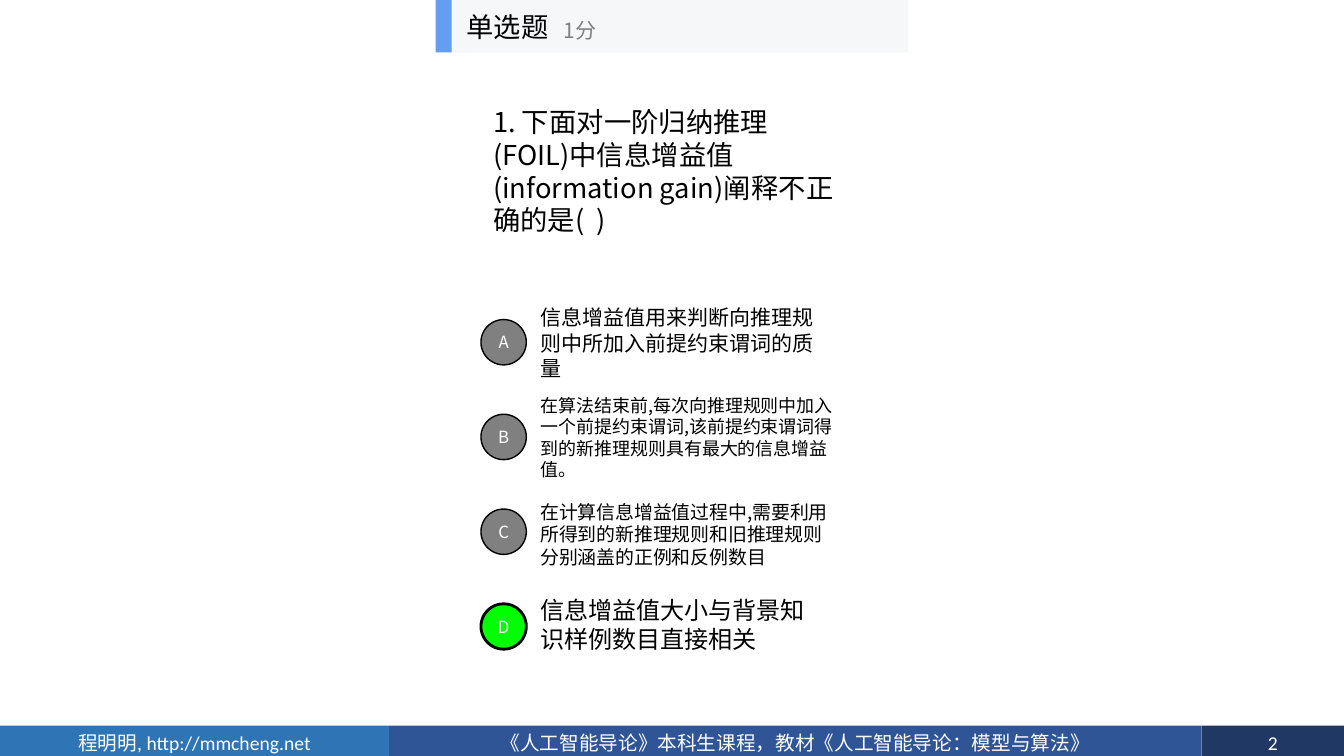
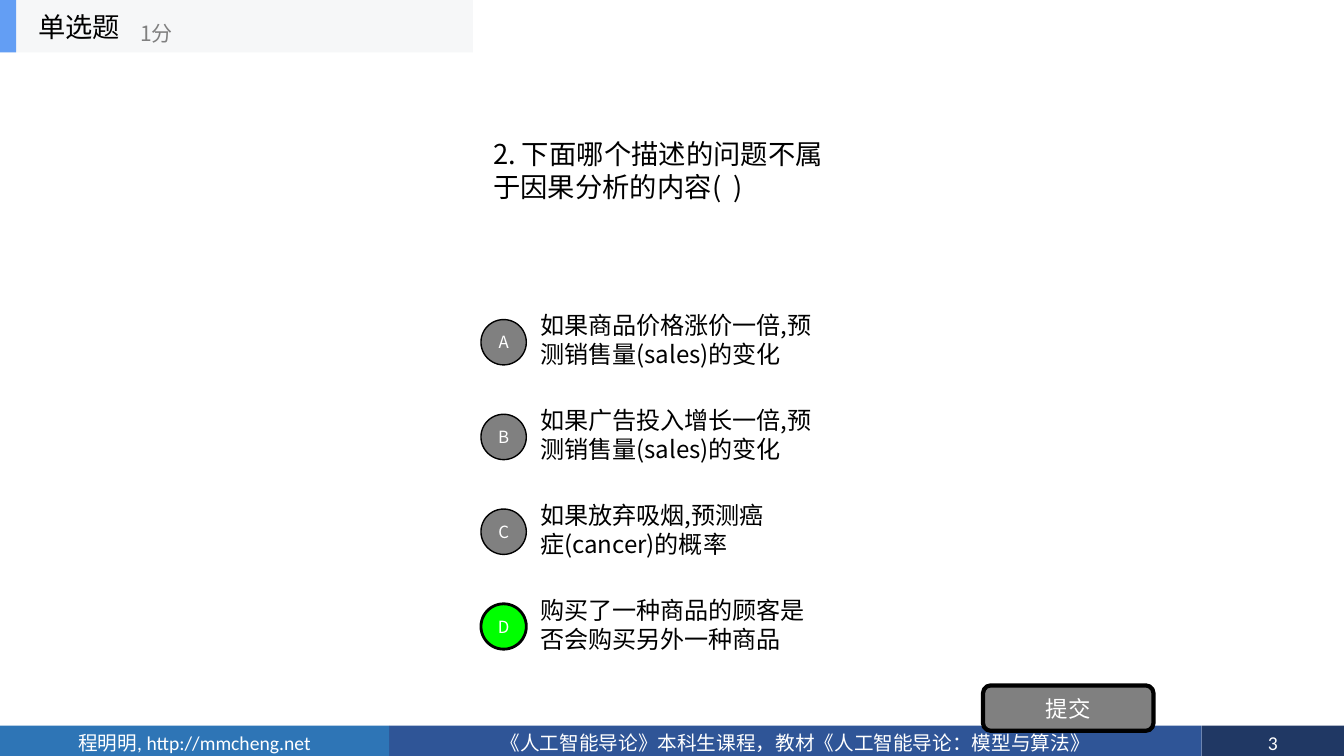
from lxml import etree
from pptx import Presentation
from pptx.dml.color import RGBColor
from pptx.enum.shapes import MSO_SHAPE as Shape
from pptx.enum.text import MSO_ANCHOR as Anchor, MSO_AUTO_SIZE as AutoSize, PP_ALIGN as Align
from pptx.oxml.ns import qn
from pptx.util import Inches, Pt

BLACK, WHITE, GRAY, GREEN = "000000", "FFFFFF", "808080", "00FF00"
CJK = "Noto Sans CJK SC"
FOOTER_TOP, FOOTER_HEIGHT = 7.2, 0.34
HEADER_HEIGHT = 0.52
CIRCLE_LEFT, CIRCLE_TOP, CIRCLE_SIZE, OPTION_STEP = 4.77, 3.17, 0.45, 0.94
OPTION_LEFT = 5.26


def add_box(shapes, kind, place, fill, outline=0):
    """Add a flat preset shape; outline is its black line width in points."""
    box = shapes.add_shape(kind, *[Inches(length) for length in place])
    box.shadow.inherit = False
    box.fill.solid()
    box.fill.fore_color.rgb = RGBColor.from_string(fill)
    if outline:
        box.line.color.rgb = RGBColor.from_string(BLACK)
        box.line.width = Pt(outline)
    else:
        box.line.fill.background()
    return box


def write(box, text, size, color, align=Align.LEFT, font=CJK, side_margin=0.1):
    """Fill a box with one vertically centred paragraph."""
    frame = box.text_frame
    frame.text = text
    frame.word_wrap = True
    frame.auto_size = AutoSize.NONE
    frame.vertical_anchor = Anchor.MIDDLE
    frame.margin_left = frame.margin_right = Inches(side_margin)
    paragraph = frame.paragraphs[0]
    paragraph.alignment = align
    for span in paragraph.runs:
        span.font.size = Pt(size)
        span.font.name = font
        span.font.color.rgb = RGBColor.from_string(color)
        east_asian = etree.SubElement(span.font._element, qn("a:ea"))
        east_asian.set("typeface", CJK)


deck = Presentation()
deck.slide_width, deck.slide_height = Inches(13.33), Inches(7.5)
layout = deck.slide_layouts[5]

# Questions: places are left, top, width, height; options are text, size, top, width, height
questions = [
    {
        "number": 2,
        "question": "1. 下面对一阶归纳推理(FOIL)中信息增益值(information gain)阐释不正确的是(  )",
        "place": (4.79, 0.99, 3.61, 1.41),
        "header_left": 4.32,
        "score_place": (5.49, 0.09, 1.88, 0.42),
        "title_offset": 0.21,
        "options": [
            ("信息增益值用来判断向推理规则中所加入前提约束谓词的质量", 15, 2.97, 3.07, 0.86),
            ("在算法结束前,每次向推理规则中加入一个前提约束谓词,该前提约束谓词得到的新推理规则具有最大的信息增益值。",
             12.8, 3.86, 3.19, 0.96),
            ("在计算信息增益值过程中,需要利用所得到的新推理规则和旧推理规则分别涵盖的正例和反例数目",
             13.5, 4.91, 3.15, 0.78),
            ("信息增益值大小与背景知识样例数目直接相关", 17.2, 5.85, 3.02, 0.68),
        ],
        "submit": False,
    },
    {
        "number": 3,
        "question": "2. 下面哪个描述的问题不属于因果分析的内容(  )",
        "place": (4.79, 1.31, 3.7, 0.76),
        "header_left": 0,
        "score_place": (1.29, 0.12, 1.88, 0.42),
        "title_offset": 0.28,
        "options": [
            ("如果商品价格涨价一倍,预测销售量(sales)的变化", 17.2, 3.03, 3.08, 0.68),
            ("如果广告投入增长一倍,预测销售量(sales)的变化", 17.2, 3.97, 3.08, 0.68),
            ("如果放弃吸烟,预测癌症(cancer)的概率", 17.2, 4.91, 2.6, 0.68),
            ("购买了一种商品的顾客是否会购买另外一种商品", 17.2, 5.85, 3.02, 0.68),
        ],
        "submit": True,
    },
]
pages = [deck.slides.add_slide(layout) for _ in questions]

# Footer bands, moved to the layout that all pages share
bands = [
    (3.86, 8.06, "2F5597", "《人工智能导论》本科生课程，教材《人工智能导论：模型与算法》"),
    (0, 3.86, "2E75B6", "程明明, http://mmcheng.net"),
]
for left, width, fill, text in bands:
    band = add_box(pages[0].shapes, Shape.RECTANGLE, (left, FOOTER_TOP, width, FOOTER_HEIGHT), fill)
    write(band, text, 14, WHITE, Align.CENTER, "Calibri")
    layout.shapes.element.append(band.element)

for page, item in zip(pages, questions):
    # Page number
    number = add_box(page.shapes, Shape.RECTANGLE, (11.92, FOOTER_TOP, 1.41, FOOTER_HEIGHT), "203864")
    write(number, str(item["number"]), 14, WHITE, Align.CENTER, "Calibri")

    # Question
    title = page.shapes.title
    title.left, title.top, title.width, title.height = [Inches(length) for length in item["place"]]
    write(title, item["question"], 19.5, BLACK)

    # Options, the last one being the right answer
    for index, (letter, option) in enumerate(zip("ABCD", item["options"])):
        text, size, top, width, height = option
        box = page.shapes.add_textbox(Inches(OPTION_LEFT), Inches(top), Inches(width), Inches(height))
        write(box, text, size, BLACK)
        right = letter == "D"
        place = (CIRCLE_LEFT, CIRCLE_TOP + index * OPTION_STEP, CIRCLE_SIZE, CIRCLE_SIZE)
        circle = add_box(page.shapes, Shape.OVAL, place, GREEN if right else GRAY, 2 if right else 1)
        write(circle, letter, 12, WHITE, Align.CENTER, side_margin=0)

    # Submit button
    if item["submit"]:
        button = add_box(page.shapes, Shape.ROUNDED_RECTANGLE, (9.75, 6.8, 1.69, 0.45), GRAY, 3)
        write(button, "提交", 16, WHITE, Align.CENTER)

    # Header with question type and score
    header = page.shapes.add_group_shape().shapes
    left = item["header_left"]
    add_box(header, Shape.RECTANGLE, (left, 0, 4.69, HEADER_HEIGHT), "F6F7F8")
    add_box(header, Shape.RECTANGLE, (left, 0, 0.16, HEADER_HEIGHT), "639EF4")
    labels = [
        ("单选题", 19.5, BLACK, (left + item["title_offset"], 0, 1.56, HEADER_HEIGHT)),
        ("1分", 15, GRAY, item["score_place"]),
    ]
    for text, size, color, place in labels:
        label = header.add_textbox(*[Inches(length) for length in place])
        write(label, text, size, color)

deck.save("out.pptx")
